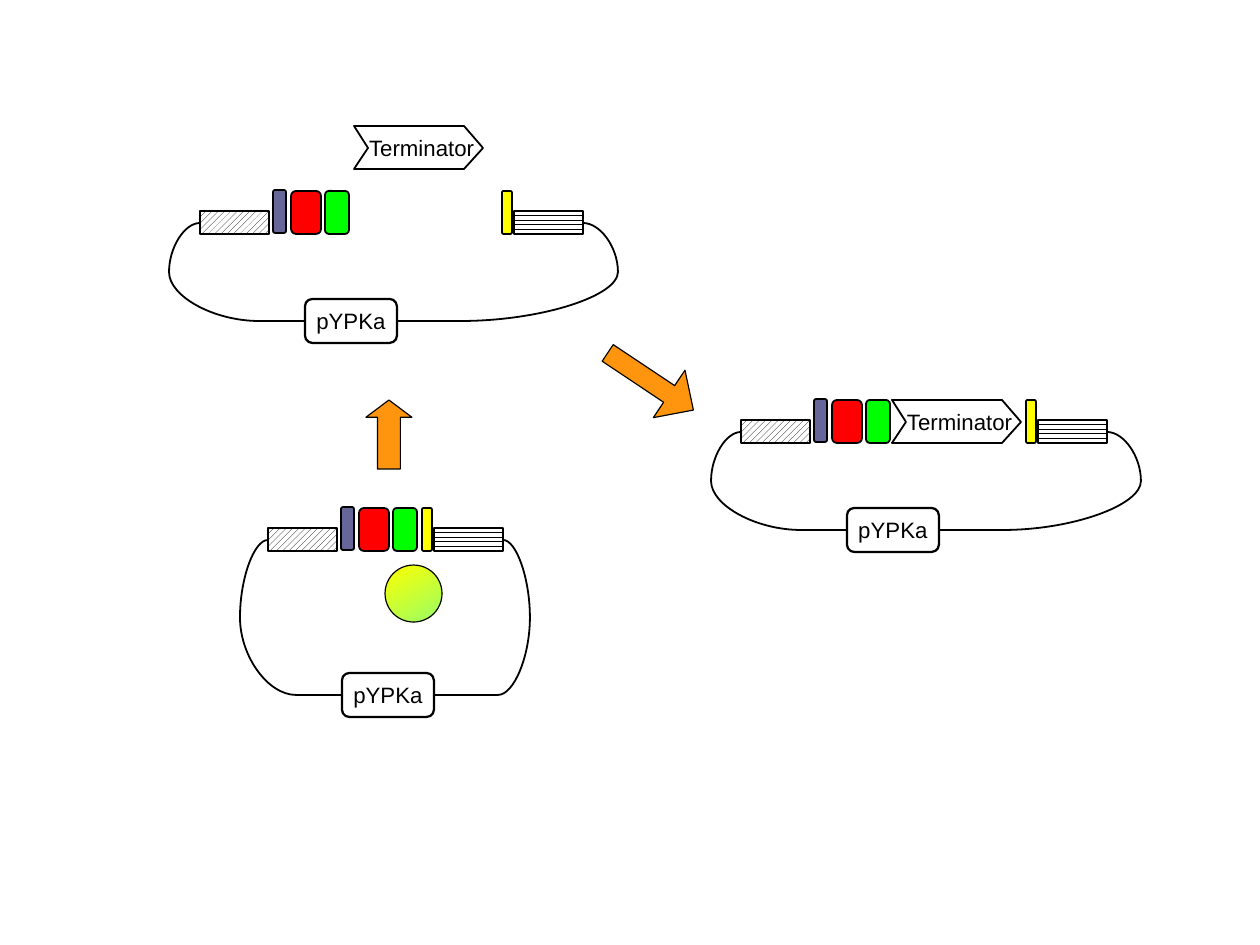
"""Draw the terminator cloning scheme: cut plasmid, insert and resulting plasmid."""
from lxml.etree import SubElement
from pptx import Presentation
from pptx.dml.color import RGBColor
from pptx.enum.dml import MSO_PATTERN
from pptx.enum.shapes import MSO_CONNECTOR, MSO_SHAPE
from pptx.enum.text import MSO_ANCHOR, PP_ALIGN
from pptx.oxml.ns import qn
from pptx.util import Pt

PX = 8000
SLIDE_SIZE = (1260, 945)
COLORS = {"black": "000000", "white": "FFFFFF", "blue": "666699", "red": "FF0000",
          "green": "00FF00", "yellow": "FFFF00", "orange": "FF950E", "lime": "99FF66"}
FONT, FONT_SIZE = "Arial", 14
THIN, THICK, HAIRLINE = 1.13, 1.42, 0

PLASMIDS = [
    {"name": "pYPKa", "upstream": (268, 528), "downstream": 434, "label": (342, 673), "bulges": (240, 530)},
    {"name": "pYPKa", "upstream": (741, 420), "downstream": 1038, "label": (847, 508), "bulges": (711, 1141)},
    {"name": "pYPKa", "upstream": (200, 211), "downstream": 514, "label": (305, 299), "bulges": (169, 618)},
]
SITES = [("blue", 73, -21, 13), ("red", 91, -20, 30), ("green", 125, -20, 24)]
YELLOW_SITE = (-12, -20, 10)
SITE_HEIGHT = 43
FLANK_SIZE = (69, 23)
LABEL_SIZE = (92, 44)
LEFT_ARM, RIGHT_ARM = 46, 64

TERMINATOR = "Terminator"
TERMINATORS = [(354, 126), (892, 400)]
TERMINATOR_OUTLINE = [(0, 0), (110, 0), (129, 22), (110, 43), (0, 43), (14, 22)]

ARROWS = [
    (MSO_SHAPE.RIGHT_ARROW, (599, 353, 103, 57), 33.7, (0.35, 0.51)),
    (MSO_SHAPE.UP_ARROW, (366, 400, 46, 69), 0, (0.5, 0.375)),
]
ENZYME = (385, 565, 57, 57)


def rgb(color):
    return RGBColor.from_string(COLORS[color])


def outline(shape, width):
    shape.line.color.rgb = rgb("black")
    shape.line.width = Pt(width)


def add_block(slide, kind, box, width, color=None):
    block = slide.shapes.add_shape(kind, *(n * PX for n in box))
    block.shadow.inherit = False
    outline(block, width)
    if color:
        block.fill.solid()
        block.fill.fore_color.rgb = rgb(color)
    else:
        block.fill.background()
    return block


def add_flank(slide, left, top, pattern):
    flank = add_block(slide, MSO_SHAPE.RECTANGLE, (left, top, *FLANK_SIZE), THIN)
    flank.fill.patterned()
    flank.fill.pattern = pattern
    flank.fill.fore_color.rgb = rgb("black")
    flank.fill.back_color.rgb = rgb("white")


def add_line(slide, kind, start, end, width):
    line = slide.shapes.add_connector(kind, *(n * PX for n in (*start, *end)))
    outline(line, width)
    SubElement(line._element.spPr, qn("a:effectLst"))
    return line


def add_backbone(slide, start, end, bulge):
    backbone = add_line(slide, MSO_CONNECTOR.CURVE, start, end, THIN)
    bend = round((bulge - start[0]) / (end[0] - start[0]) * 100000)
    guides = backbone._element.spPr.find(qn("a:prstGeom")).get_or_add_avLst()
    SubElement(guides, qn("a:gd"), name="adj1", fmla=f"val {bend}")


def write(shape, text, align, inset=0):
    frame = shape.text_frame
    frame.text = text
    frame.word_wrap = False
    frame.vertical_anchor = MSO_ANCHOR.MIDDLE
    frame.margin_left = inset * PX
    frame.margin_right = frame.margin_top = frame.margin_bottom = 0
    paragraph = frame.paragraphs[0]
    paragraph.alignment = align
    font = paragraph.runs[0].font
    font.name, font.size = FONT, Pt(FONT_SIZE)
    font.color.rgb = rgb("black")


def add_plasmid(slide, plasmid):
    left, top = plasmid["upstream"]
    downstream = plasmid["downstream"]
    add_flank(slide, left, top, MSO_PATTERN.WIDE_UPWARD_DIAGONAL)
    add_flank(slide, downstream, top, MSO_PATTERN.HORIZONTAL)

    dx, dy, width = YELLOW_SITE
    sites = [(color, left + x, y, w) for color, x, y, w in SITES]
    for color, x, y, w in sites + [("yellow", downstream + dx, dy, width)]:
        add_block(slide, MSO_SHAPE.ROUNDED_RECTANGLE, (x, top + y, w, SITE_HEIGHT), THIN, color)

    label_left, label_top = plasmid["label"]
    label_width, label_height = LABEL_SIZE
    label_right, middle = label_left + label_width, label_top + label_height // 2
    label = add_block(slide, MSO_SHAPE.ROUNDED_RECTANGLE,
                      (label_left, label_top, label_width, label_height), THICK)
    write(label, plasmid["name"], PP_ALIGN.CENTER)

    flank_middle = top + 12
    arms = [
        (left, label_left, label_left - LEFT_ARM, 1),
        (downstream + FLANK_SIZE[0], label_right, label_right + RIGHT_ARM, 3),
    ]
    for (flank_edge, label_edge, arm_end, side), bulge in zip(arms, plasmid["bulges"]):
        add_backbone(slide, (flank_edge, flank_middle), (arm_end, middle), bulge)
        arm = add_line(slide, MSO_CONNECTOR.STRAIGHT, (label_edge, middle), (arm_end, middle), THICK)
        arm.begin_connect(label, side)


def add_terminator(slide, left, top):
    points = [(left + x, top + y) for x, y in TERMINATOR_OUTLINE]
    builder = slide.shapes.build_freeform(*points[0], scale=PX)
    builder.add_line_segments(points[1:], close=True)
    terminator = builder.convert_to_shape()
    terminator.shadow.inherit = False
    terminator.fill.background()
    outline(terminator, THIN)
    write(terminator, TERMINATOR, PP_ALIGN.LEFT, inset=15)


def main():
    prs = Presentation()
    prs.slide_width, prs.slide_height = (n * PX for n in SLIDE_SIZE)
    slide = prs.slides.add_slide(prs.slide_layouts[6])

    for plasmid in PLASMIDS:
        add_plasmid(slide, plasmid)
    for corner in TERMINATORS:
        add_terminator(slide, *corner)
    for kind, box, rotation, proportions in ARROWS:
        arrow = add_block(slide, kind, box, HAIRLINE, "orange")
        arrow.rotation = rotation
        for i, proportion in enumerate(proportions):
            arrow.adjustments[i] = proportion

    enzyme = add_block(slide, MSO_SHAPE.OVAL, ENZYME, HAIRLINE)
    enzyme.fill.gradient()
    enzyme.fill.gradient_angle = 300
    for stop, color in zip(enzyme.fill.gradient_stops, ("yellow", "lime")):
        stop.color.rgb = rgb(color)

    prs.save("out.pptx")


if __name__ == "__main__":
    main()
